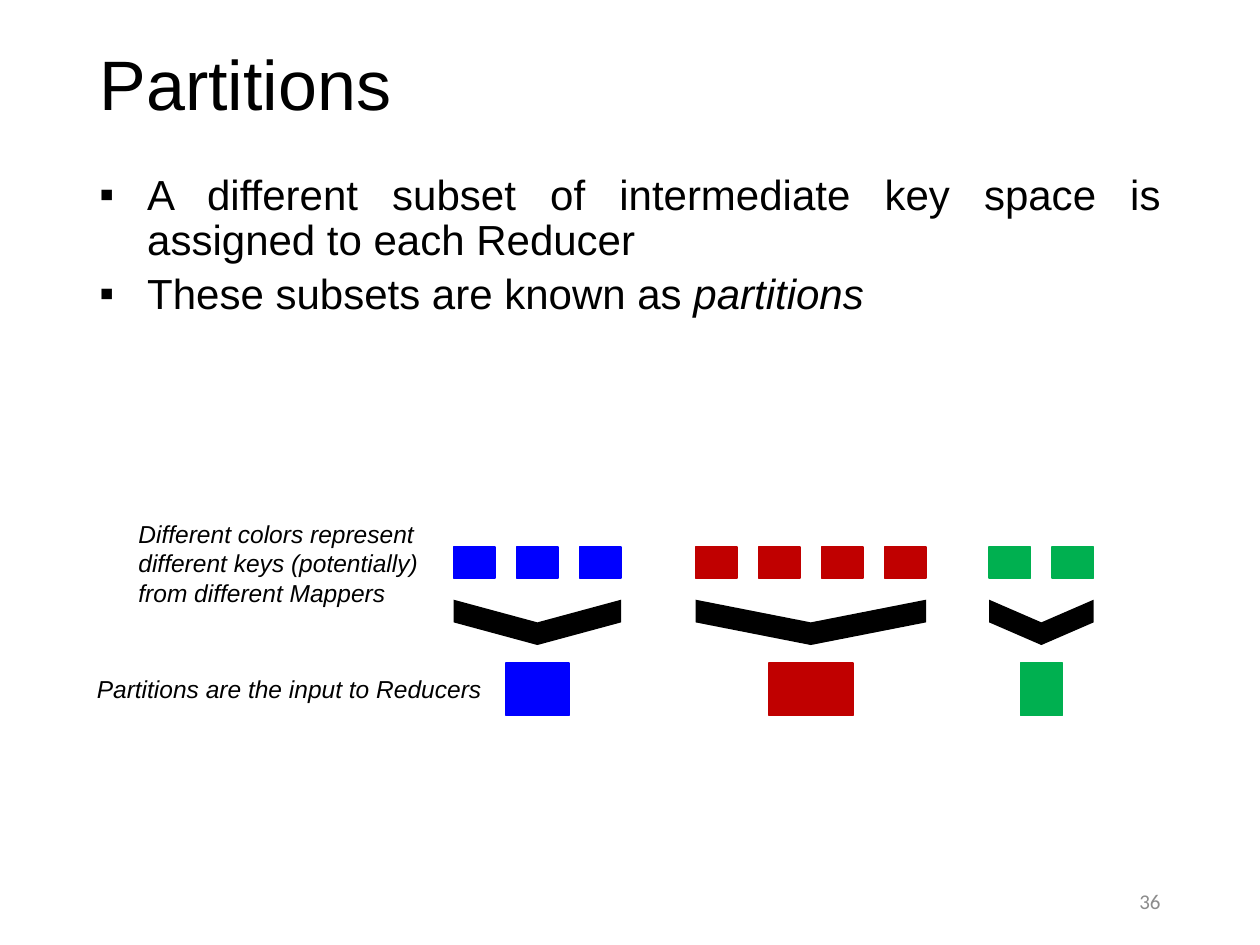
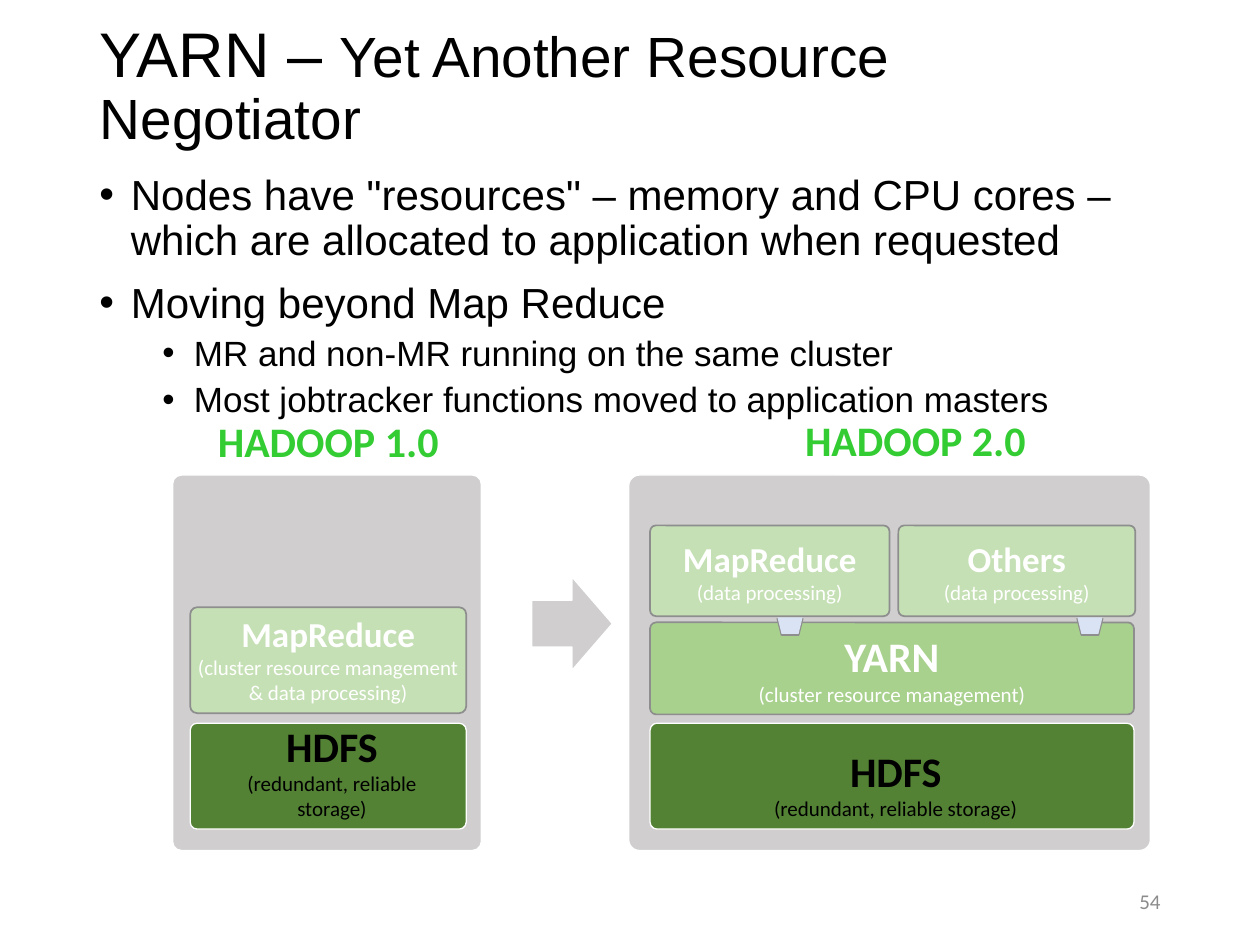
from dataclasses import dataclass
from typing import Optional, Sequence

from lxml import etree
from pptx import Presentation
from pptx.dml.color import RGBColor
from pptx.enum.shapes import MSO_SHAPE
from pptx.enum.text import MSO_ANCHOR, MSO_AUTO_SIZE, PP_ALIGN
from pptx.oxml.ns import qn
from pptx.util import Inches, Pt

RECTANGLE, ROUNDED = MSO_SHAPE.RECTANGLE, MSO_SHAPE.ROUNDED_RECTANGLE
CHEVRON, ARROW, TRAPEZOID = MSO_SHAPE.CHEVRON, MSO_SHAPE.RIGHT_ARROW, MSO_SHAPE.TRAPEZOID
LEFT, CENTER, RIGHT, JUSTIFY = PP_ALIGN.LEFT, PP_ALIGN.CENTER, PP_ALIGN.RIGHT, PP_ALIGN.JUSTIFY
TOP, MIDDLE, BOTTOM = MSO_ANCHOR.TOP, MSO_ANCHOR.MIDDLE, MSO_ANCHOR.BOTTOM
NO_AUTOFIT = MSO_AUTO_SIZE.NONE

SANS, DIAGRAM_FONT = "Arial", "Calibri"
BLACK, WHITE, PAGE_GRAY = "000000", "FFFFFF", "8C8C8C"
BLUE, RED, GREEN = "0000FF", "C00000", "00B050"
PANEL_GRAY, EDGE_GRAY, HEADING_GREEN = "D0CECE", "8E8E8E", "33CC33"
DARK_GREEN, MID_GREEN, PALE_GREEN, PALE_BLUE = "548235", "A9D18E", "C5E0B4", "DAE3F3"

TITLE_BOX = (0.69, 0.2, 8.62, 0.99)
BODY_BOX = (0.69, 1.33, 8.62, 5.43)
PAGE_BOX = (7.06, 6.95, 2.25, 0.4)
KEY_WIDTH, KEY_PITCH = 0.33, 0.5


@dataclass
class Span:
    text: str
    size: float
    font: str = SANS
    color: str = BLACK
    bold: bool = False
    italic: bool = False


@dataclass
class Line:
    spans: Sequence[Span]
    align: PP_ALIGN = LEFT
    spacing: float = 1.0
    before: float = 0
    margin: float = 0
    hanging: float = 0
    bullet: str = ""


@dataclass
class KeyGroup:
    left: float
    count: int
    color: str


@dataclass
class Layer:
    box: tuple
    name: str
    details: Sequence[str]
    fill: str
    size: float = 20
    anchor: MSO_ANCHOR = BOTTOM
    storage: bool = False


def rgb(color: str) -> RGBColor:
    """Turn a hex string into a colour."""
    return RGBColor.from_string(color)


def inches(box: tuple) -> list:
    """Turn left, top, width and height into lengths."""
    return [Inches(value) for value in box]


def write(text_frame, lines: Sequence[Line], anchor=TOP, wrap: bool = True) -> None:
    """Fill a text frame with formatted lines."""
    text_frame.word_wrap = wrap
    text_frame.auto_size = NO_AUTOFIT
    text_frame.vertical_anchor = anchor
    for index, line in enumerate(lines):
        paragraph = text_frame.paragraphs[0] if index == 0 else text_frame.add_paragraph()
        properties = paragraph._p.get_or_add_pPr()
        properties.set("marL", str(Inches(line.margin)))
        properties.set("indent", str(Inches(-line.hanging)))
        if line.bullet:
            etree.SubElement(properties, qn("a:buFont")).set("typeface", SANS)
            etree.SubElement(properties, qn("a:buChar")).set("char", line.bullet)
        paragraph.alignment = line.align
        paragraph.line_spacing = line.spacing
        paragraph.space_before = Pt(line.before if index else 0)
        for span in line.spans:
            run = paragraph.add_run()
            run.text = span.text
            run.font.size = Pt(span.size)
            run.font.name = span.font
            run.font.bold = span.bold
            run.font.italic = span.italic
            run.font.color.rgb = rgb(span.color)


def add_text(slide, box: tuple, lines: Sequence[Line], anchor=TOP, wrap: bool = True) -> None:
    """Add a text box."""
    write(slide.shapes.add_textbox(*inches(box)).text_frame, lines, anchor, wrap)


def add_block(slide, kind, box: tuple, fill: str, edge: Optional[str] = None,
              weight: float = 1, rotation: float = 0):
    """Add a filled preset shape with an optional outline."""
    shape = slide.shapes.add_shape(kind, *inches(box))
    shape.shadow.inherit = False
    shape.rotation = rotation
    shape.fill.solid()
    shape.fill.fore_color.rgb = rgb(fill)
    if edge:
        shape.line.color.rgb = rgb(edge)
        shape.line.width = Pt(weight)
    else:
        shape.line.fill.background()
    return shape


def add_slide(presentation, title: Sequence[Span], body: Sequence[Line], page: str):
    """Add a slide with its title, bullets and page number."""
    slide = presentation.slides.add_slide(presentation.slide_layouts[5])
    heading = slide.shapes.title
    heading.left, heading.top, heading.width, heading.height = inches(TITLE_BOX)
    write(heading.text_frame, [Line(title, spacing=0.9)], MIDDLE)
    add_text(slide, BODY_BOX, body)
    number = Span(page, 12, DIAGRAM_FONT, PAGE_GRAY)
    add_text(slide, PAGE_BOX, [Line([number], RIGHT)], MIDDLE)
    return slide


def add_key_group(slide, group: KeyGroup) -> None:
    """Draw keys of one colour, their chevron and the resulting partition."""
    for index in range(group.count):
        box = (group.left + index * KEY_PITCH, 4.34, KEY_WIDTH, 0.25)
        add_block(slide, RECTANGLE, box, group.color, group.color)
    span = (group.count - 1) * KEY_PITCH + KEY_WIDTH
    center = group.left + span / 2
    depth = 0.36
    chevron_box = (center - depth / 2, 4.94 - span / 2, depth, span)
    add_block(slide, CHEVRON, chevron_box, BLACK, rotation=90)
    width = group.count / 6
    add_block(slide, RECTANGLE, (center - width / 2, 5.26, width, 0.42), group.color, group.color)


def add_layer(slide, layer: Layer) -> None:
    """Draw one labelled layer of a software stack."""
    edge, weight = (WHITE, 0.75) if layer.storage else (EDGE_GRAY, 1)
    shape = add_block(slide, ROUNDED, layer.box, layer.fill, edge, weight)
    shape.adjustments[0] = 0.065
    color = BLACK if layer.storage else WHITE
    spans = [Span(layer.name, layer.size, DIAGRAM_FONT, color, bold=True)]
    spans += [Span(detail, 12, DIAGRAM_FONT, color) for detail in layer.details]
    margin = 0.06 if layer.storage else 0
    if not layer.storage:
        shape.text_frame.margin_left = shape.text_frame.margin_right = 0
    lines = [Line([span], CENTER, margin=margin) for span in spans]
    write(shape.text_frame, lines, layer.anchor, wrap=layer.storage)


def add_partitions_slide(presentation) -> None:
    """Build the slide on partitions."""
    bullets = [
        [Span("A different subset of intermediate key space is assigned to each Reducer", 24)],
        [Span("These subsets are known as ", 24), Span("partitions", 24, italic=True)],
    ]
    body = [Line(spans, JUSTIFY, 0.9, 5, 0.38, 0.38, "▪") for spans in bullets]
    slide = add_slide(presentation, [Span("Partitions", 40)], body, "36")
    for group in (KeyGroup(3.6, 3, BLUE), KeyGroup(5.52, 4, RED), KeyGroup(7.85, 2, GREEN)):
        add_key_group(slide, group)
    captions = [
        ((1, 4.07, 2.49, 0.81), ["Different colors represent", "different keys (potentially)",
                                 "from different Mappers"]),
        ((0.67, 5.3, 3.33, 0.34), ["Partitions are the input to Reducers"]),
    ]
    for box, texts in captions:
        add_text(slide, box, [Line([Span(text, 14, italic=True)]) for text in texts], wrap=False)


def add_yarn_slide(presentation) -> None:
    """Build the slide comparing the two stacks."""
    topics = [
        'Nodes have "resources" – memory and CPU cores – which are allocated to application '
        "when requested",
        "Moving beyond Map Reduce",
    ]
    details = [
        "MR and non-MR running on the same cluster",
        "Most jobtracker functions moved to application masters",
    ]
    body = [Line([Span(text, 24)], LEFT, 0.9, 10, 0.25, 0.25, "•") for text in topics]
    body += [Line([Span(text, 20)], LEFT, 0.9, 5, 0.75, 0.25, "•") for text in details]
    title = [Span("YARN – ", 36), Span("Yet Another Resource Negotiator", 32.4)]
    slide = add_slide(presentation, title, body, "54")

    add_block(slide, ARROW, (4.22, 4.58, 0.64, 0.74), PANEL_GRAY, WHITE, 0.75)
    for left, width in ((1.37, 2.45), (4.99, 4.14)):
        panel = add_block(slide, ROUNDED, (left, 3.77, width, 2.98), PANEL_GRAY, WHITE, 0.75)
        panel.adjustments[0] = 0.029
    for text, left, top in (("HADOOP 1.0", 1.51, 3.25), ("HADOOP 2.0", 6.17, 3.24)):
        heading = Span(text, 24, DIAGRAM_FONT, HEADING_GREEN, bold=True)
        add_text(slide, (left, top, 2.19, 0.5), [Line([heading], CENTER)])

    storage = ["(redundant, reliable storage)"]
    processing = ["(data processing)"]
    layers = [
        Layer((1.51, 5.74, 2.19, 0.84), "HDFS", storage, DARK_GREEN, 24, storage=True),
        Layer((1.51, 4.82, 2.19, 0.84), "MapReduce",
              ["(cluster resource management", "& data processing)"], PALE_GREEN),
        Layer((5.16, 5.74, 3.84, 0.84), "HDFS", storage, DARK_GREEN, 24, storage=True),
        Layer((5.16, 4.94, 3.84, 0.73), "YARN", ["(cluster resource management)"], MID_GREEN, 24),
        Layer((5.16, 4.17, 1.9, 0.72), "MapReduce", processing, PALE_GREEN, anchor=MIDDLE),
        Layer((7.13, 4.17, 1.88, 0.72), "Others", processing, PALE_GREEN, anchor=MIDDLE),
    ]
    for layer in layers:
        add_layer(slide, layer)
    for left in (6.17, 8.55):
        for top, edge in ((4.91, EDGE_GRAY), (4.9, None)):
            add_block(slide, TRAPEZOID, (left, top, 0.2, 0.13), PALE_BLUE, edge, rotation=180)


def main() -> None:
    """Build and save the presentation."""
    presentation = Presentation()
    presentation.slide_width, presentation.slide_height = Inches(10), Inches(7.5)
    add_partitions_slide(presentation)
    add_yarn_slide(presentation)
    presentation.save("out.pptx")


if __name__ == "__main__":
    main()
